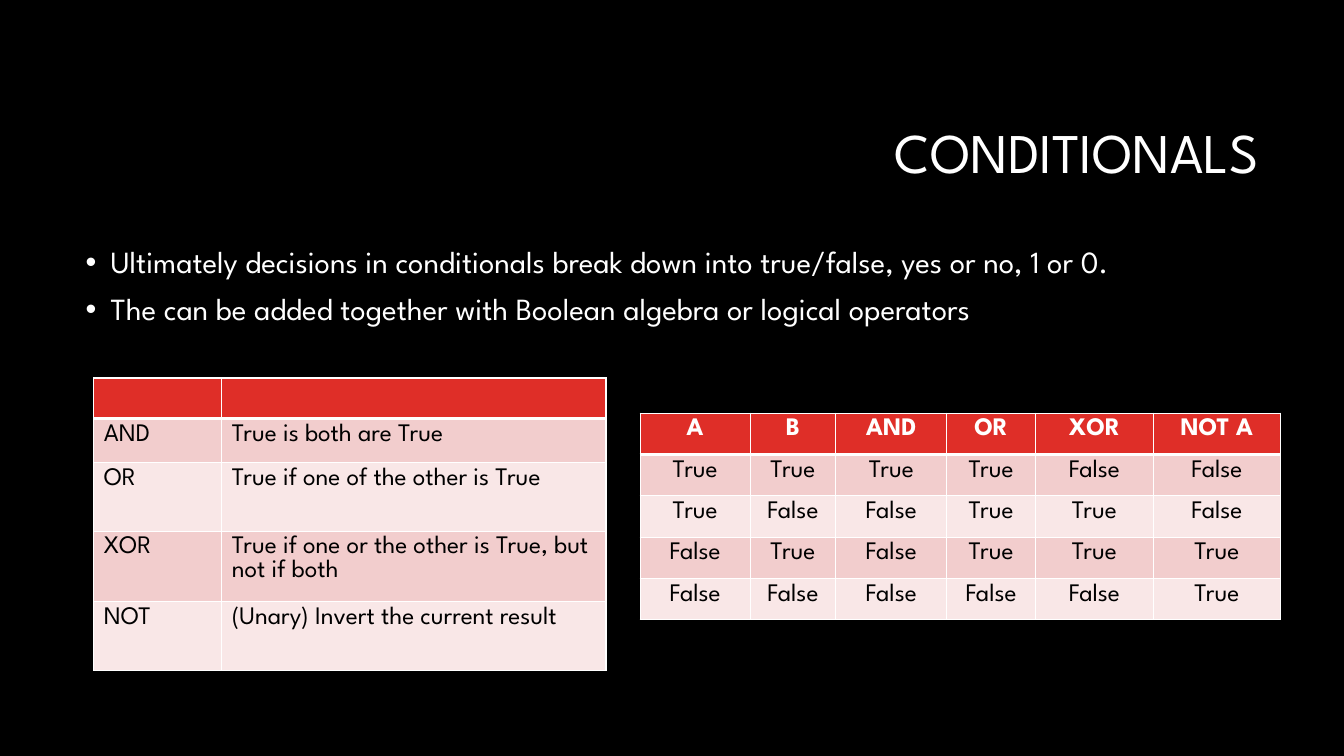
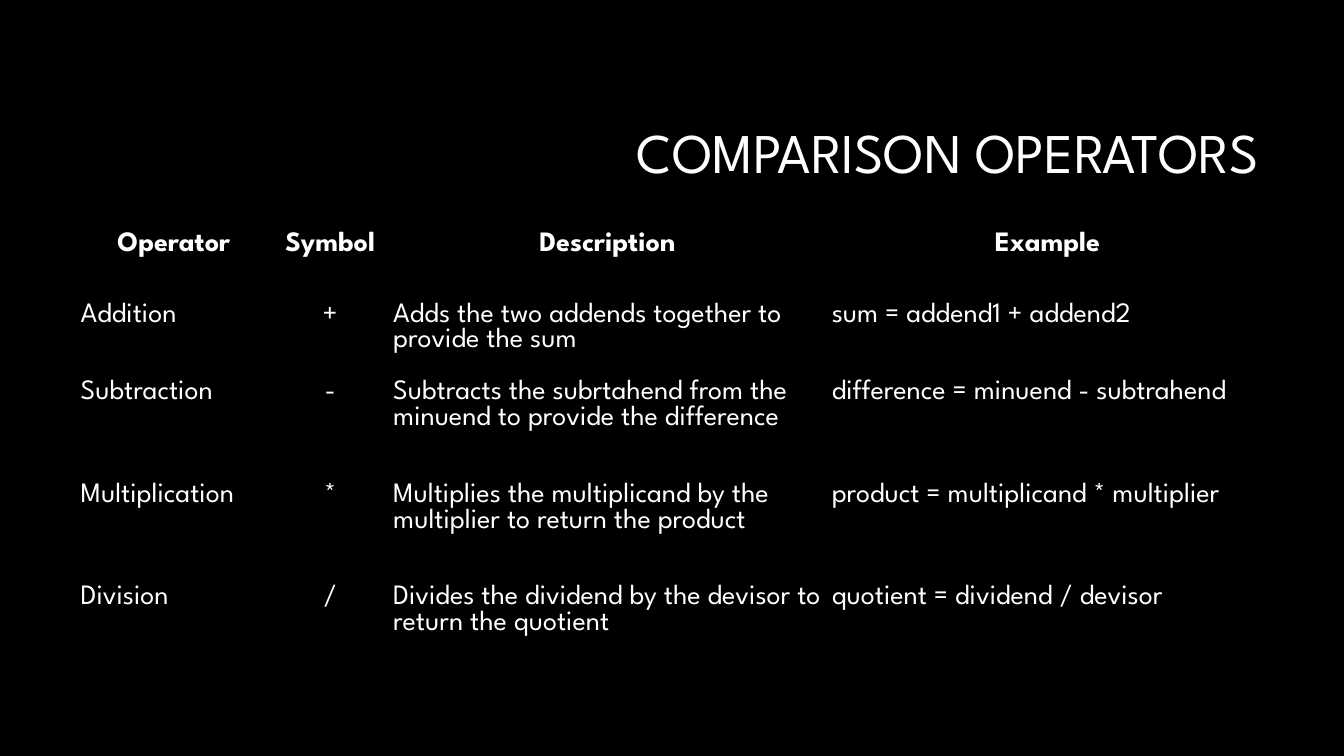
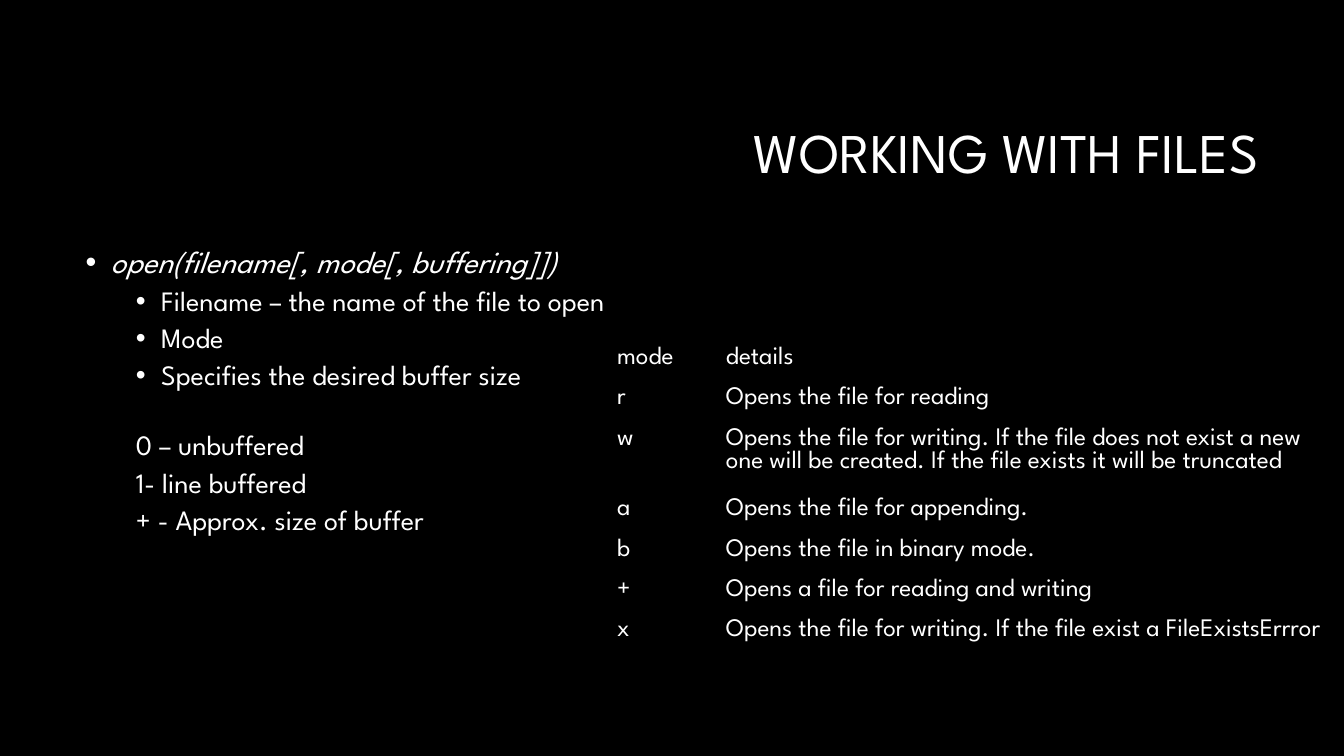
from lxml.etree import SubElement
from pptx import Presentation
from pptx.dml.color import RGBColor
from pptx.enum.text import MSO_ANCHOR, PP_ALIGN
from pptx.oxml.ns import qn
from pptx.util import Inches, Pt

BLACK = RGBColor(0x00, 0x00, 0x00)
WHITE = RGBColor(0xFF, 0xFF, 0xFF)
RED = RGBColor(0xDF, 0x2E, 0x28)
PINK = RGBColor(0xF2, 0xCD, 0xCD)
PALE_PINK = RGBColor(0xF9, 0xE7, 0xE7)

FONT = "League Spartan"
PLAIN_TABLE = "{2D5ABB26-0587-4C30-8999-92F81FD0307C}"
THIN, THICK = 0.96, 3
ALIGN = {"l": PP_ALIGN.LEFT, "c": PP_ALIGN.CENTER}


class Lesson:
    """Holds the shared style and the slide being filled."""

    def __init__(self):
        self.deck = Presentation()
        self.deck.slide_width = Inches(13.33)
        self.deck.slide_height = Inches(7.5)
        self.page = None

    def new_page(self, title):
        self.page = self.deck.slides.add_slide(self.deck.slide_layouts[6])
        background = self.page.background.fill
        background.solid()
        background.fore_color.rgb = BLACK
        frame = self.text_box(3.17, 0.84, 9.41, 1.41)
        frame.vertical_anchor = MSO_ANCHOR.MIDDLE
        para = frame.paragraphs[0]
        para.alignment = PP_ALIGN.RIGHT
        para.line_spacing = 0.9
        self.set_text(para, title, 40)

    def text_box(self, left, top, width, height):
        box = self.page.shapes.add_textbox(
            Inches(left), Inches(top), Inches(width), Inches(height))
        box.text_frame.word_wrap = True
        return box.text_frame

    def set_text(self, para, text, size, color=WHITE, bold=False, italic=False):
        para.text = text
        for span in para.runs:
            span.font.name = FONT
            span.font.size = Pt(size)
            span.font.color.rgb = color
            span.font.bold = bold
            span.font.italic = italic
        if not text:
            # An empty cell keeps its line height from the end mark
            end = SubElement(para._p, qn("a:endParaRPr"), sz=str(size * 100))
            SubElement(end, qn("a:latin"), typeface=FONT)

    def body(self, lines):
        """Each line is (text, level, bulleted, space before, italic)."""
        frame = self.text_box(0.75, 2.4, 11.83, 4.4)
        for index, (text, level, bulleted, before, italic) in enumerate(lines):
            para = frame.add_paragraph() if index else frame.paragraphs[0]
            para.level = level
            para.line_spacing = 0.9
            if index:
                para.space_before = Pt(before)
            self.indent(para, 0.25 + 0.5 * level if bulleted else 0.5, bulleted)
            self.set_text(para, text, 20 if level or not bulleted else 22, italic=italic)

    def indent(self, para, left, bulleted):
        props = para._p.get_or_add_pPr()
        props.set("marL", str(Inches(left)))
        props.set("indent", str(Inches(-0.25 if bulleted else 0)))
        if bulleted:
            color = SubElement(props, qn("a:buClr"))
            SubElement(color, qn("a:srgbClr"), val=str(WHITE))
            SubElement(props, qn("a:buFont"), typeface="Arial")
            SubElement(props, qn("a:buChar"), char="•")
        else:
            SubElement(props, qn("a:buNone"))

    def table(self, left, top, widths, heights, rows, size=18, aligns=None,
              head_align="l", head_bold=False, side_inset=0.1, banded=False):
        table = self.page.shapes.add_table(
            len(rows), len(widths), Inches(left), Inches(top),
            Inches(sum(widths)), Inches(sum(heights))).table
        table.first_row = table.horz_banding = False
        table._tbl.tblPr.find(qn("a:tableStyleId")).text = PLAIN_TABLE
        for column, width in zip(table.columns, widths):
            column.width = Inches(width)
        for row, height in zip(table.rows, heights):
            row.height = Inches(height)
        for r, texts in enumerate(rows):
            for c, text in enumerate(texts):
                cell = table.cell(r, c)
                cell.margin_left = cell.margin_right = Inches(side_inset)
                cell.margin_top = cell.margin_bottom = Inches(0.05)
                para = cell.text_frame.paragraphs[0]
                para.alignment = ALIGN[aligns[c] if r and aligns else head_align]
                color = BLACK if banded and r else WHITE
                self.set_text(para, text, size, color, bold=head_bold and r == 0)
                if banded:
                    self.band(cell, r)
                else:
                    cell.fill.background()

    def band(self, cell, r):
        """White borders, a red header and alternating pink rows."""
        props = cell._tc.get_or_add_tcPr()
        borders = {"L": THIN, "R": THIN, "T": THICK if r == 1 else THIN,
                   "B": THICK if r == 0 else THIN}
        for side, width in borders.items():
            line = SubElement(props, qn("a:ln" + side), w=str(Pt(width)))
            fill = SubElement(line, qn("a:solidFill"))
            SubElement(fill, qn("a:srgbClr"), val=str(WHITE))
        cell.fill.solid()
        cell.fill.fore_color.rgb = RED if r == 0 else PINK if r % 2 else PALE_PINK


def main():
    lesson = Lesson()

    # Conditionals
    lesson.new_page("CONDITIONALS")
    lesson.body([
        ("Ultimately decisions in conditionals break down into true/false, "
         "yes or no, 1 or 0.", 0, True, 0, False),
        ("The can be added together with Boolean algebra or logical operators",
         0, True, 10, False),
    ])
    lesson.table(0.93, 3.75, [1.27, 3.81], [0.38, 0.44, 0.68, 0.68, 0.68], [
        ("", ""),
        ("AND", "True is both are True"),
        ("OR", "True if one of the other is True"),
        ("XOR", "True if one or the other is True, but not if both"),
        ("NOT", "(Unary) Invert the current result"),
    ], banded=True)

    # Truth table
    truth = [("A", "B", "AND", "OR", "XOR", "NOT A")]
    for a in (True, False):
        for b in (True, False):
            values = (a, b, a and b, a or b, a != b, not a)
            truth.append([str(value) for value in values])
    lesson.table(6.35, 4.1, [1.09, 0.85, 1.1, 0.88, 1.17, 1.26], [0.41] * 5, truth,
                 aligns="cccccc", head_align="c", head_bold=True, banded=True)

    # Comparison operators
    lesson.new_page("COMPARISON OPERATORS")
    lesson.table(0.75, 2.25, [1.95, 1.15, 4.35, 4.38], [0.7, 0.7, 1.02, 1.02, 0.7], [
        ("Operator", "Symbol", "Description", "Example"),
        ("Addition", "+", "Adds the two addends together to provide the sum",
         "sum = addend1 + addend2"),
        ("Subtraction", "-",
         "Subtracts the subrtahend from the minuend to provide the difference",
         "difference = minuend - subtrahend"),
        ("Multiplication", "*",
         "Multiplies the multiplicand by the multiplier to return the product",
         "product = multiplicand * multiplier"),
        ("Division", "/", "Divides the dividend by the devisor to return the quotient",
         "quotient = dividend / devisor"),
    ], size=20, aligns="lcll", head_align="c", head_bold=True, side_inset=0.05)

    # Working with files
    lesson.new_page("WORKING WITH FILES")
    lesson.body([
        ("open(filename[, mode[, buffering]])", 0, True, 0, True),
        ("Filename – the name of the file to open", 1, True, 5, False),
        ("Mode", 1, True, 5, False),
        ("Specifies the desired buffer size", 1, True, 5, False),
        ("0 – unbuffered", 0, False, 28.5, False),
        ("1- line buffered", 0, False, 5, False),
        ("+ - Approx. size of buffer", 0, False, 5, False),
    ])
    lesson.table(6.02, 3.39, [1.08, 6.23], [0.33, 0.33, 0.56] + [0.33] * 4, [
        ("mode", "details"),
        ("r", "Opens the file for reading"),
        ("w", "Opens the file for writing. If the file does not exist a new one "
              "will be created. If the file exists it will be truncated"),
        ("a", "Opens the file for appending."),
        ("b", "Opens the file in binary mode."),
        ("+", "Opens a file for reading and writing"),
        ("x", "Opens the file for writing. If the file exist a FileExistsErrror"),
    ])

    lesson.deck.save("out.pptx")


if __name__ == "__main__":
    main()
